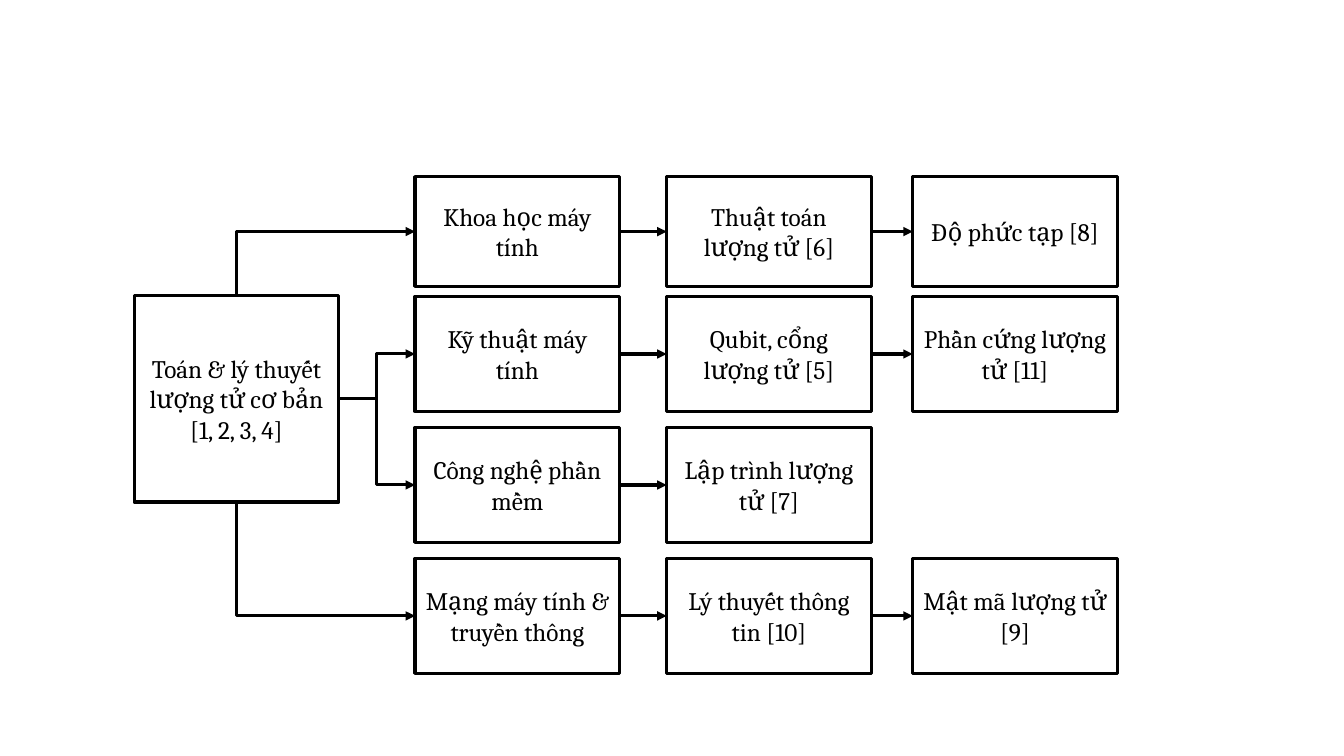
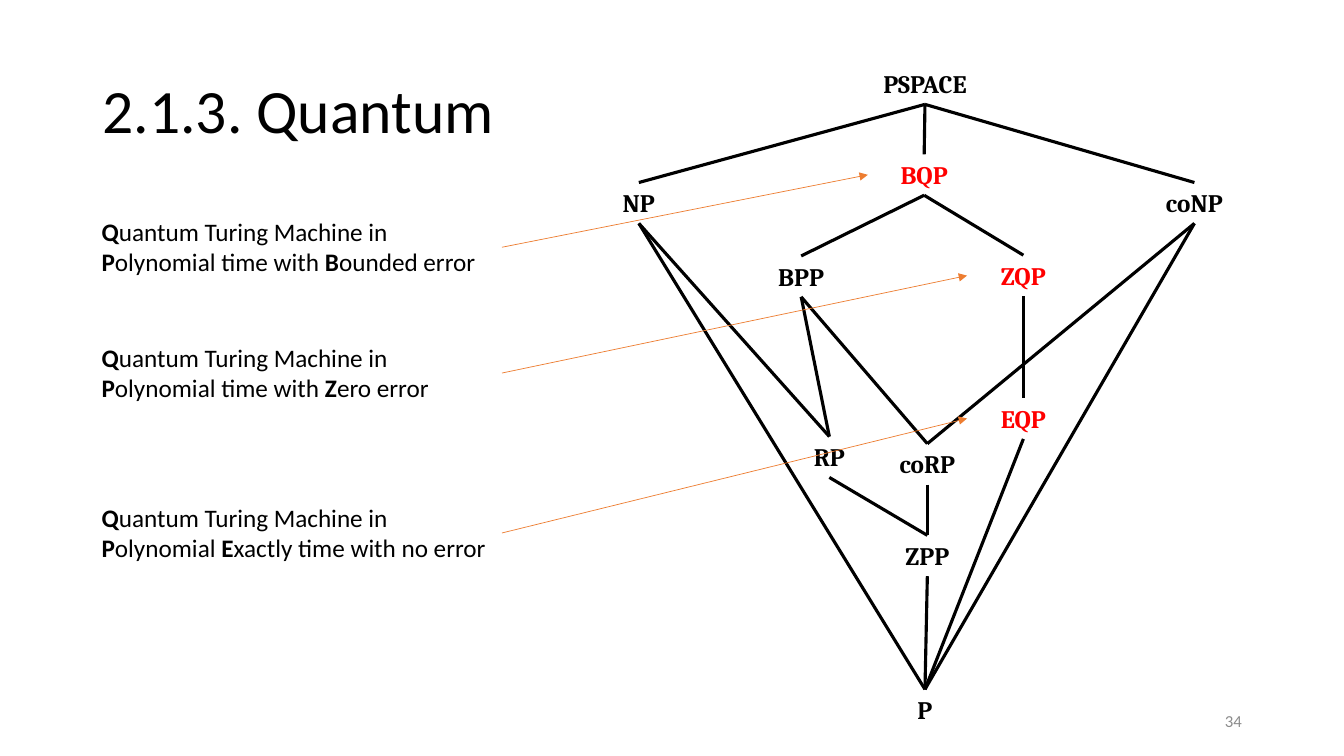
import pptx
import pptx.dml.color
import pptx.enum.shapes
import pptx.enum.text
import pptx.oxml
import pptx.oxml.ns
import pptx.util

Cm, Pt = pptx.util.Cm, pptx.util.Pt
CONNECTOR = pptx.enum.shapes.MSO_CONNECTOR
ALIGN = pptx.enum.text.PP_ALIGN
ANCHOR = pptx.enum.text.MSO_ANCHOR
TOP, LEFT, BOTTOM, RIGHT = range(4)

BLACK, WHITE, RED, ORANGE, GRAY = "000000", "FFFFFF", "FF0000", "ED7D31", "8C8C8C"
SERIF, SANS = "Cambria", "Calibri"

ROOT = ["Toán & lý thuyết lượng tử cơ bản", "[1, 2, 3, 4]"]
ROOT_BOX = (3.38, 7.45, 5.16, 5.2)
TOPICS = [
    (4.45, 2.77, ["Khoa học máy tính", "Thuật toán lượng tử [6]", "Độ phức tạp [8]"]),
    (7.47, 2.9, ["Kỹ thuật máy tính", "Qubit, cổng lượng tử [5]", "Phần cứng lượng tử [11]"]),
    (10.77, 2.9, ["Công nghệ phần mềm", "Lập trình lượng tử [7]"]),
    (14.07, 2.9, ["Mạng máy tính & truyền thông", "Lý thuyết thông tin [10]", "Mật mã lượng tử [9]"]),
]
COLUMNS = (10.46, 16.8, 23)
TOPIC_WIDTH = 5.16

TITLE = "2.1.3. Quantum"
PAGE = "34"
CLASSES = {
    "PSPACE": (21.89, 1.6, BLACK),
    "NP": (14.68, 4.6, BLACK),
    "coNP": (28.68, 4.6, BLACK),
    "BQP": (21.87, 3.89, RED),
    "BPP": (18.77, 6.45, BLACK),
    "ZQP": (24.37, 6.43, RED),
    "EQP": (24.37, 10.03, RED),
    "RP": (19.48, 11, BLACK),
    "coRP": (21.95, 11.18, BLACK),
    "ZPP": (21.95, 13.49, BLACK),
    "P": (21.89, 17.37, BLACK),
}
CLASS_SIZE = (2.84, 1.03)
CONTAINS = {
    "PSPACE": ["NP", "BQP", "coNP"],
    "NP": ["RP", "P"],
    "coNP": ["coRP", "P"],
    "BQP": ["BPP", "ZQP"],
    "BPP": ["RP", "coRP"],
    "ZQP": ["EQP"],
    "EQP": ["P"],
    "RP": ["ZPP"],
    "coRP": ["ZPP"],
    "ZPP": ["P"],
}
MACHINE = [("Q", True), ("uantum Turing Machine in ", False), ("P", True)]
NOTES = [
    ("BQP", 5.33, [("olynomial time with ", False), ("B", True), ("ounded error", False)]),
    ("ZQP", 8.5, [("olynomial time with ", False), ("Z", True), ("ero error", False)]),
    ("EQP", 12.53, [("olynomial ", False), ("E", True), ("xactly time with no error", False)]),
]


def rgb(value):
    return pptx.dml.color.RGBColor.from_string(value)


def style(p, size=18, font=SERIF, color=BLACK, bold=False, align=ALIGN.CENTER):
    p.alignment = align
    p.font.size, p.font.name = Pt(size), font
    p.font.bold = bold
    p.font.color.rgb = rgb(color)


def add_box(slide, lines, x, y, w, h):
    sp = slide.shapes.add_shape(pptx.enum.shapes.MSO_SHAPE.RECTANGLE, Cm(x), Cm(y), Cm(w), Cm(h))
    sp.shadow.inherit = False
    sp.fill.solid()
    sp.fill.fore_color.rgb = rgb(WHITE)
    sp.line.color.rgb = rgb(BLACK)
    sp.line.width = Pt(2.25)
    tf = sp.text_frame
    tf.word_wrap = True
    tf.vertical_anchor = ANCHOR.MIDDLE
    tf.text = "\n".join(lines)
    for p in tf.paragraphs:
        style(p)
    return sp


def add_text(slide, runs, x, y, w, h, anchor=ANCHOR.TOP, **look):
    sp = slide.shapes.add_textbox(Cm(x), Cm(y), Cm(w), Cm(h))
    tf = sp.text_frame
    tf.word_wrap = True
    tf.vertical_anchor = anchor
    p = tf.paragraphs[0]
    style(p, **look)
    for text, bold in runs:
        r = p.add_run()
        r.text = text
        r.font.bold = bold
    return sp


def connect(slide, start, start_site, end, end_site, kind=CONNECTOR.STRAIGHT,
            color=BLACK, width=2.25, arrow=True):
    line = slide.shapes.add_connector(kind, 0, 0, 0, 0)
    line.begin_connect(start, start_site)
    line.end_connect(end, end_site)
    line.line.color.rgb = rgb(color)
    line.line.width = Pt(width)
    if arrow:
        tail = pptx.oxml.ns.qn("a:tailEnd")
        line.line._get_or_add_ln().append(line.element.makeelement(tail, {"type": "triangle"}))
    effects = line.element.makeelement(pptx.oxml.ns.qn("a:effectLst"), {})
    line.element.spPr.append(effects)
    return line


def connect_corner(slide, start, start_site, end):
    line = connect(slide, start, start_site, end, LEFT, CONNECTOR.ELBOW)
    x, y, w, h = line.left, line.top, line.width, line.height
    line.left, line.top = x + (w - h) // 2, y + (h - w) // 2
    line.width, line.height = h, w
    spPr = line.element.spPr
    spPr.find(pptx.oxml.ns.qn("a:prstGeom")).set("prst", "bentConnector2")
    xfrm = spPr.find(pptx.oxml.ns.qn("a:xfrm"))
    upward = start_site == TOP
    xfrm.set("rot", "5400000" if upward else "16200000")
    xfrm.set("flipH", "1")
    xfrm.set("flipV", "1" if upward else "0")


def build_topics(prs):
    slide = prs.slides.add_slide(prs.slide_layouts[6])
    root = add_box(slide, ROOT, *ROOT_BOX)
    heads = []
    for y, h, texts in TOPICS:
        row = [add_box(slide, [text], x, y, TOPIC_WIDTH, h) for x, text in zip(COLUMNS, texts)]
        for before, after in zip(row, row[1:]):
            connect(slide, before, RIGHT, after, LEFT)
        heads.append(row[0])
    connect_corner(slide, root, TOP, heads[0])
    for head in heads[1:-1]:
        connect(slide, root, RIGHT, head, LEFT, CONNECTOR.ELBOW)
    connect_corner(slide, root, BOTTOM, heads[-1])


def build_classes(prs):
    slide = prs.slides.add_slide(prs.slide_layouts[5])
    title = slide.shapes.title
    title.left, title.top, title.width, title.height = Cm(2.33), Cm(1.01), Cm(29.21), Cm(3.68)
    title.text_frame.text = TITLE
    title.text_frame.vertical_anchor = ANCHOR.MIDDLE
    p = title.text_frame.paragraphs[0]
    p.line_spacing = 0.9
    style(p, size=44, font=SANS, align=ALIGN.LEFT)

    nodes = {name: add_text(slide, [(name, True)], x, y, *CLASS_SIZE, color=color, bold=True)
             for name, (x, y, color) in CLASSES.items()}
    for outer, inners in CONTAINS.items():
        for inner in inners:
            connect(slide, nodes[outer], BOTTOM, nodes[inner], TOP, arrow=False)
    for name, y, ending in NOTES:
        note = add_text(slide, MACHINE + ending, 2.31, y, 10.34, 1.8, font=SANS, align=ALIGN.LEFT)
        connect(slide, note, RIGHT, nodes[name], LEFT, color=ORANGE, width=0.5)
    add_text(slide, [(PAGE, False)], 23.93, 17.65, 7.62, 1.01, anchor=ANCHOR.MIDDLE,
             size=12, font=SANS, color=GRAY, align=ALIGN.RIGHT)


def main():
    prs = pptx.Presentation()
    prs.slide_width, prs.slide_height = Cm(33.87), Cm(19.05)
    build_topics(prs)
    build_classes(prs)
    prs.save("out.pptx")


if __name__ == "__main__":
    main()
